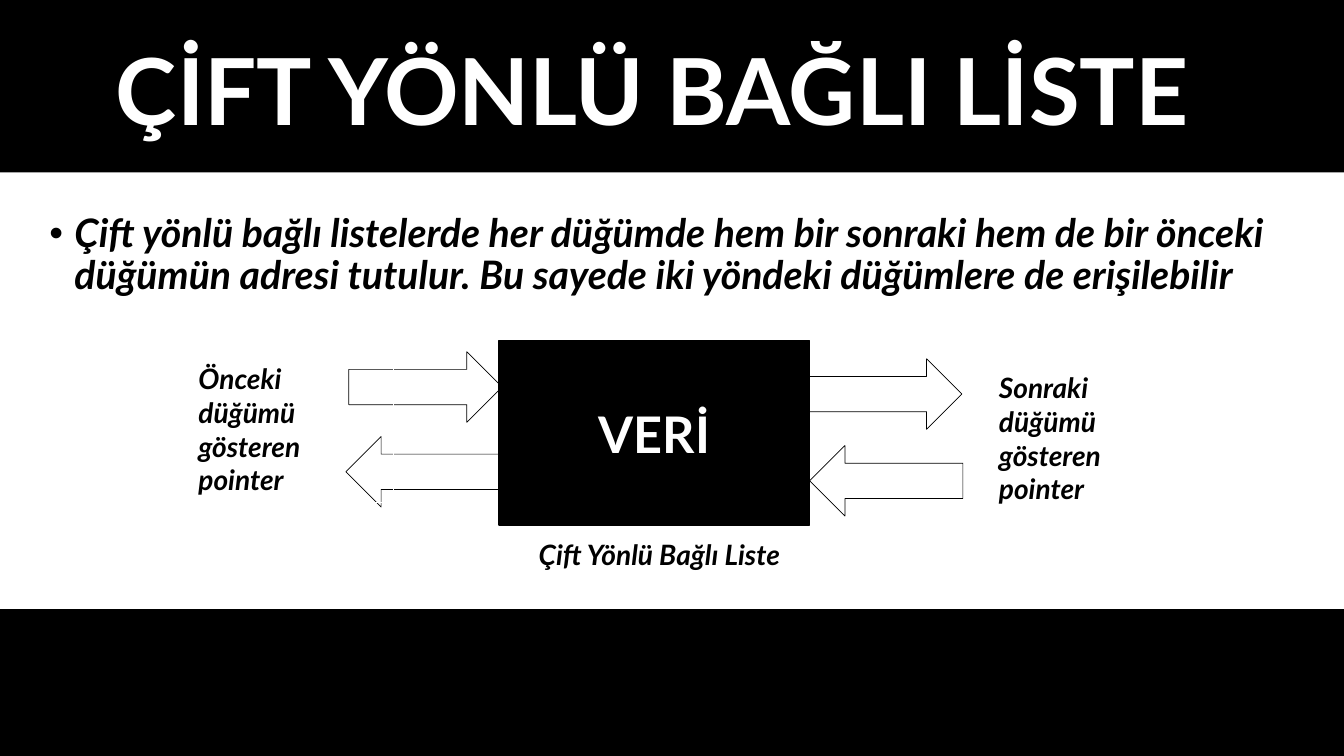
from lxml.etree import SubElement
from pptx import Presentation
from pptx.dml.color import RGBColor
from pptx.enum.shapes import MSO_SHAPE
from pptx.enum.text import MSO_ANCHOR, PP_ALIGN
from pptx.oxml.ns import qn
from pptx.util import Inches, Pt

FONT = "Lato"
BLACK = "000000"
WHITE = "FFFFFF"


def color(value):
    return RGBColor.from_string(value)


def add_figure(slide, kind, place, fill=None, line=None, width=0.75):
    figure = slide.shapes.add_shape(kind, *map(Inches, place))
    figure.shadow.inherit = False
    if fill:
        figure.fill.solid()
        figure.fill.fore_color.rgb = color(fill)
    else:
        figure.fill.background()
    if line:
        figure.line.color.rgb = color(line)
        figure.line.width = Pt(width)
    else:
        figure.line.fill.background()
    return figure


def write(shape, text, size, ink=BLACK, italic=True, align=PP_ALIGN.LEFT,
          anchor=MSO_ANCHOR.TOP):
    frame = shape.text_frame
    frame.text = text
    frame.word_wrap = True
    frame.vertical_anchor = anchor
    para = frame.paragraphs[0]
    para.alignment = align
    font = para.runs[0].font
    font.name, font.size = FONT, Pt(size)
    font.bold, font.italic = True, italic
    font.color.rgb = color(ink)
    return para


def add_label(slide, place, text, align=PP_ALIGN.LEFT, right_inset=0.1):
    label = add_figure(slide, MSO_SHAPE.RECTANGLE, place, line=WHITE)
    label.text_frame.margin_right = Inches(right_inset)
    write(label, text, 20, align=align)


def add_arrow(slide, left, top, rotation):
    arrow = add_figure(slide, MSO_SHAPE.RIGHT_ARROW, (left, top, 1.52, 0.7),
                       line=BLACK, width=0.5)
    arrow.rotation = rotation


def add_bullet_text(slide, place, text):
    box = slide.shapes.add_textbox(*map(Inches, place))
    para = write(box, text, 28, anchor=MSO_ANCHOR.MIDDLE)
    para.line_spacing = 0.9
    para.space_before = Pt(10)
    properties = para._p.get_or_add_pPr()
    properties.set("marL", str(Inches(0.25)))
    properties.set("indent", str(-Inches(0.25)))
    SubElement(properties, qn("a:buFont"), typeface="Arial")
    SubElement(properties, qn("a:buChar"), char="•")


def set_title(slide, place, text):
    title = slide.shapes.title
    title.left, title.top, title.width, title.height = map(Inches, place)
    para = write(title, text, 66, WHITE, italic=False, anchor=MSO_ANCHOR.MIDDLE)
    para.line_spacing = 0.9


def main():
    deck = Presentation()
    deck.slide_width, deck.slide_height = Inches(13.33), Inches(7.5)
    slide = deck.slides.add_slide(deck.slide_layouts[5])

    # Bands and title; the title is moved in front of the top band
    band = add_figure(slide, MSO_SHAPE.RECTANGLE, (0, 0, 13.33, 1.71), BLACK)
    band._element.addnext(slide.shapes.title._element)
    add_figure(slide, MSO_SHAPE.RECTANGLE, (0, 6.05, 13.33, 1.45),
               BLACK, BLACK, 1)
    set_title(slide, (1.05, 0.02, 11.61, 1.86), "ÇİFT YÖNLÜ BAĞLI LİSTE")

    # Explanation
    add_bullet_text(slide, (0.39, 1.83, 12.55, 1.42),
                    "Çift yönlü bağlı listelerde her düğümde hem bir sonraki "
                    "hem de bir önceki düğümün adresi tutulur. Bu sayede iki "
                    "yöndeki düğümlere de erişilebilir")

    # Node with its pointers
    node = add_figure(slide, MSO_SHAPE.RECTANGLE, (4.95, 3.38, 3.08, 1.83),
                      BLACK, BLACK, 1)
    write(node, "VERİ", 36, WHITE, italic=False, align=PP_ALIGN.CENTER,
          anchor=MSO_ANCHOR.MIDDLE)
    for left, top, rotation in ((3.46, 3.49, 0), (3.43, 4.33, 180),
                                (8.02, 3.56, 0), (8.03, 4.42, 180)):
        add_arrow(slide, left, top, rotation)

    # Labels
    for left, top, word in ((1.87, 3.54, "Önceki"), (9.81, 3.63, "Sonraki")):
        add_label(slide, (left, top, 2.03, 1.45),
                  f"{word} düğümü gösteren pointer", right_inset=0.3)
    add_label(slide, (4.95, 5.28, 3.18, 0.44), "Çift Yönlü Bağlı Liste",
              PP_ALIGN.CENTER)

    deck.save("out.pptx")


if __name__ == "__main__":
    main()
